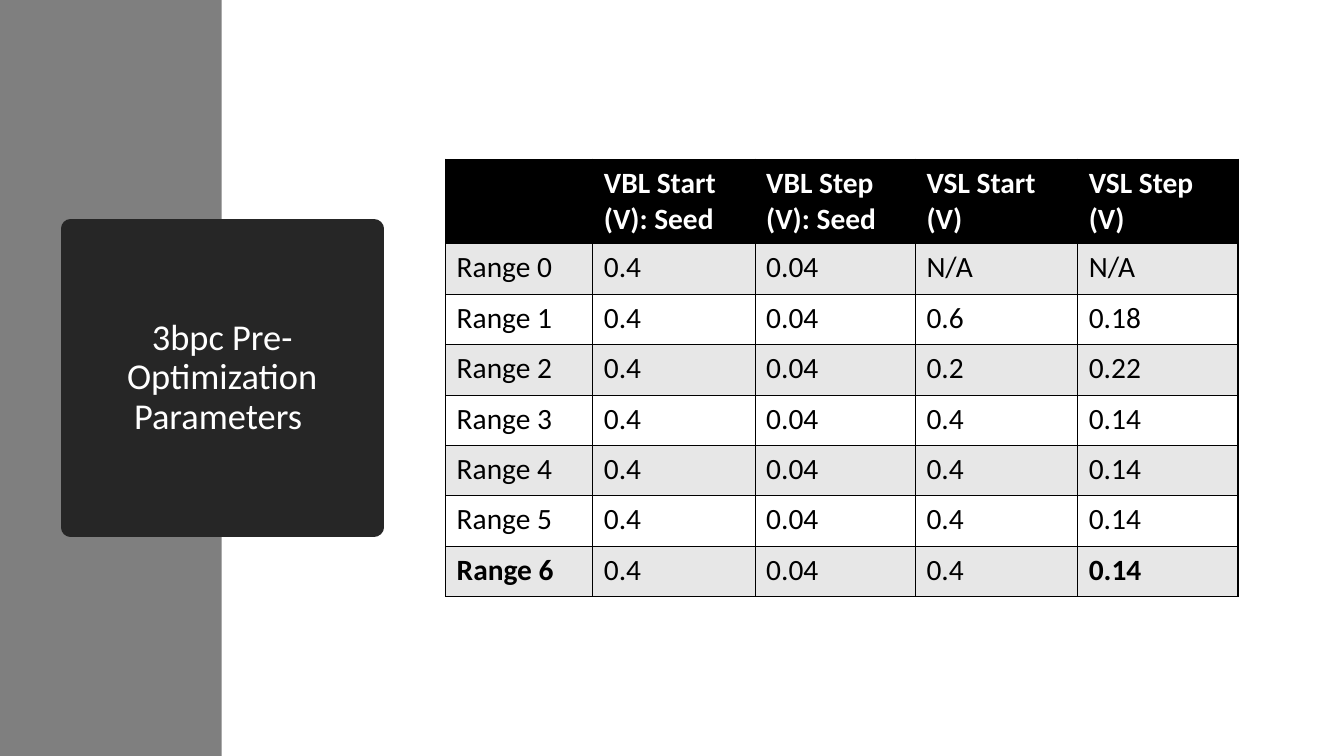
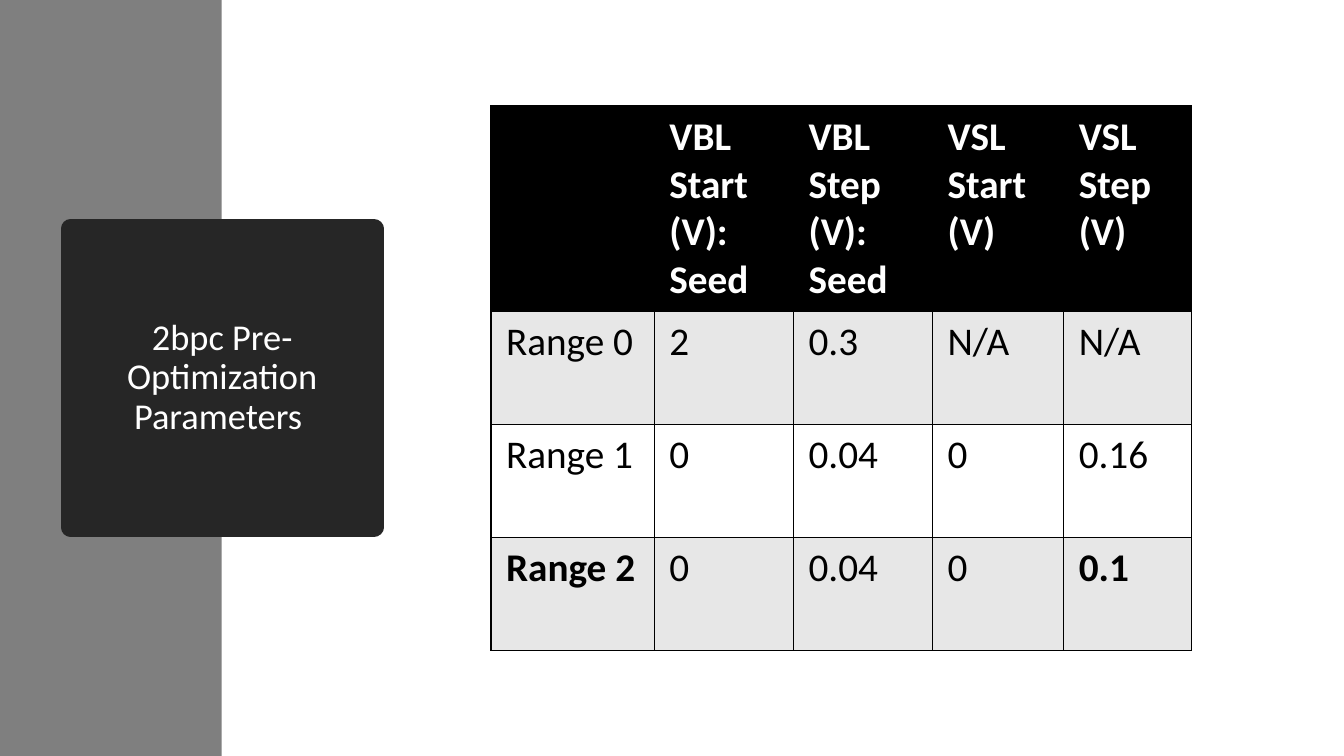
import pptx
import pptx.dml.color
import pptx.enum.shapes
import pptx.enum.text
import pptx.oxml
import pptx.oxml.ns
import pptx.util

Inches = pptx.util.Inches
Pt = pptx.util.Pt
RGBColor = pptx.dml.color.RGBColor

BLACK = RGBColor(0x00, 0x00, 0x00)
WHITE = RGBColor(0xFF, 0xFF, 0xFF)
BAND_GRAY = RGBColor(0x7F, 0x7F, 0x7F)
TITLE_DARK = RGBColor(0x26, 0x26, 0x26)
STRIPE_GRAY = RGBColor(0xE7, 0xE7, 0xE7)

FONT = "Calibri"
TITLE_ONLY = 5
HEADER = ["", "VBL Start (V): Seed", "VBL Step (V): Seed",
          "VSL Start (V)", "VSL Step (V)"]


def write_text(frame, text, size, color, bold=False, align=None, spacing=None):
    """Put one formatted paragraph into a text frame."""
    para = frame.paragraphs[0]
    para.alignment = align
    para.line_spacing = spacing
    span = para.add_run()
    span.text = text
    span.font.name = FONT
    span.font.size = Pt(size)
    span.font.bold = bold
    span.font.color.rgb = color


def set_borders(cell, color=BLACK, width=1):
    """Draw a solid line on all four sides of a table cell."""
    properties = cell._tc.get_or_add_tcPr()
    for index, side in enumerate(("lnL", "lnR", "lnT", "lnB")):
        border = pptx.oxml.parse_xml(
            f'<a:{side} {pptx.oxml.ns.nsdecls("a")} w="{Pt(width)}">'
            f'<a:solidFill><a:srgbClr val="{color}"/></a:solidFill></a:{side}>')
        properties.insert(index, border)


class ParameterDeck:
    """Holds the shared style and the slide being built."""

    def __init__(self):
        self.deck = pptx.Presentation()
        self.deck.slide_width = Inches(13.33)
        self.deck.slide_height = Inches(7.5)
        self.page = None

    def add_page(self, title):
        self.page = self.deck.slides.add_slide(self.deck.slide_layouts[TITLE_ONLY])
        self.add_band()
        self.add_title(title)

    def add_band(self):
        band = self.page.shapes.add_shape(
            pptx.enum.shapes.MSO_SHAPE.RECTANGLE,
            0, 0, Inches(2.2), self.deck.slide_height)
        band.shadow.inherit = False
        band.fill.solid()
        band.fill.fore_color.rgb = BAND_GRAY
        band.line.fill.background()
        # The band lies behind the title box
        self.page.shapes._spTree.insert(2, band._element)

    def add_title(self, text):
        box = self.page.shapes.title
        box.left, box.top = Inches(0.7), Inches(2.27)
        box.width, box.height = Inches(3.01), Inches(2.96)
        box.fill.solid()
        box.fill.fore_color.rgb = TITLE_DARK
        # The thick line with round joins gives the box its rounded corners
        box.line.color.rgb = TITLE_DARK
        box.line.width = Pt(13.75)
        box.line._get_or_add_ln().append(
            pptx.oxml.parse_xml(f'<a:round {pptx.oxml.ns.nsdecls("a")}/>'))
        frame = box.text_frame
        frame.word_wrap = True
        frame.auto_size = pptx.enum.text.MSO_AUTO_SIZE.NONE
        frame.vertical_anchor = pptx.enum.text.MSO_ANCHOR.MIDDLE
        write_text(frame, text, 26, WHITE,
                   align=pptx.enum.text.PP_ALIGN.CENTER, spacing=0.9)

    def add_table(self, records, left, top, widths, header_height, row_height,
                  size, margins):
        rows = [HEADER] + records
        heights = [header_height] + [row_height] * len(records)
        table = self.page.shapes.add_table(
            len(rows), len(widths), Inches(left), Inches(top),
            Inches(sum(widths)), Inches(sum(heights))).table
        for column, width in zip(table.columns, widths):
            column.width = Inches(width)
        for row, height in zip(table.rows, heights):
            row.height = Inches(height)

        last_row, last_column = len(rows) - 1, len(widths) - 1
        for r, values in enumerate(rows):
            for c, value in enumerate(values):
                cell = table.cell(r, c)
                cell.margin_left = cell.margin_right = Inches(margins[0])
                cell.margin_top = cell.margin_bottom = Inches(margins[1])
                cell.fill.solid()
                cell.fill.fore_color.rgb = (
                    BLACK if r == 0 else STRIPE_GRAY if r % 2 else WHITE)
                set_borders(cell)
                # Bold marks the header and both ends of the last row
                bold = r == 0 or (r == last_row and c in (0, last_column))
                if value:
                    write_text(cell.text_frame, value, size,
                               WHITE if r == 0 else BLACK, bold=bold)


def main():
    builder = ParameterDeck()

    # Three bits per cell: the bit line values are the same in every range
    builder.add_page("3bpc Pre-Optimization Parameters ")
    source_line = [("N/A", "N/A"), ("0.6", "0.18"), ("0.2", "0.22")]
    source_line += [("0.4", "0.14")] * 4
    builder.add_table(
        [[f"Range {i}", "0.4", "0.04", start, step]
         for i, (start, step) in enumerate(source_line)],
        left=4.42, top=1.58, widths=[1.46, 1.61, 1.59, 1.61, 1.59],
        header_height=0.84, row_height=0.5, size=21, margins=(0.11, 0.06))

    # Two bits per cell
    builder.add_page("2bpc Pre-Optimization Parameters ")
    builder.add_table(
        [["Range 0", "2", "0.3", "N/A", "N/A"],
         ["Range 1", "0", "0.04", "0", "0.16"],
         ["Range 2", "0", "0.04", "0", "0.1"]],
        left=4.87, top=1.05, widths=[1.62, 1.38, 1.38, 1.3, 1.27],
        header_height=2.04, row_height=1.12, size=28, margins=(0.15, 0.07))

    builder.deck.save("out.pptx")


if __name__ == "__main__":
    main()
